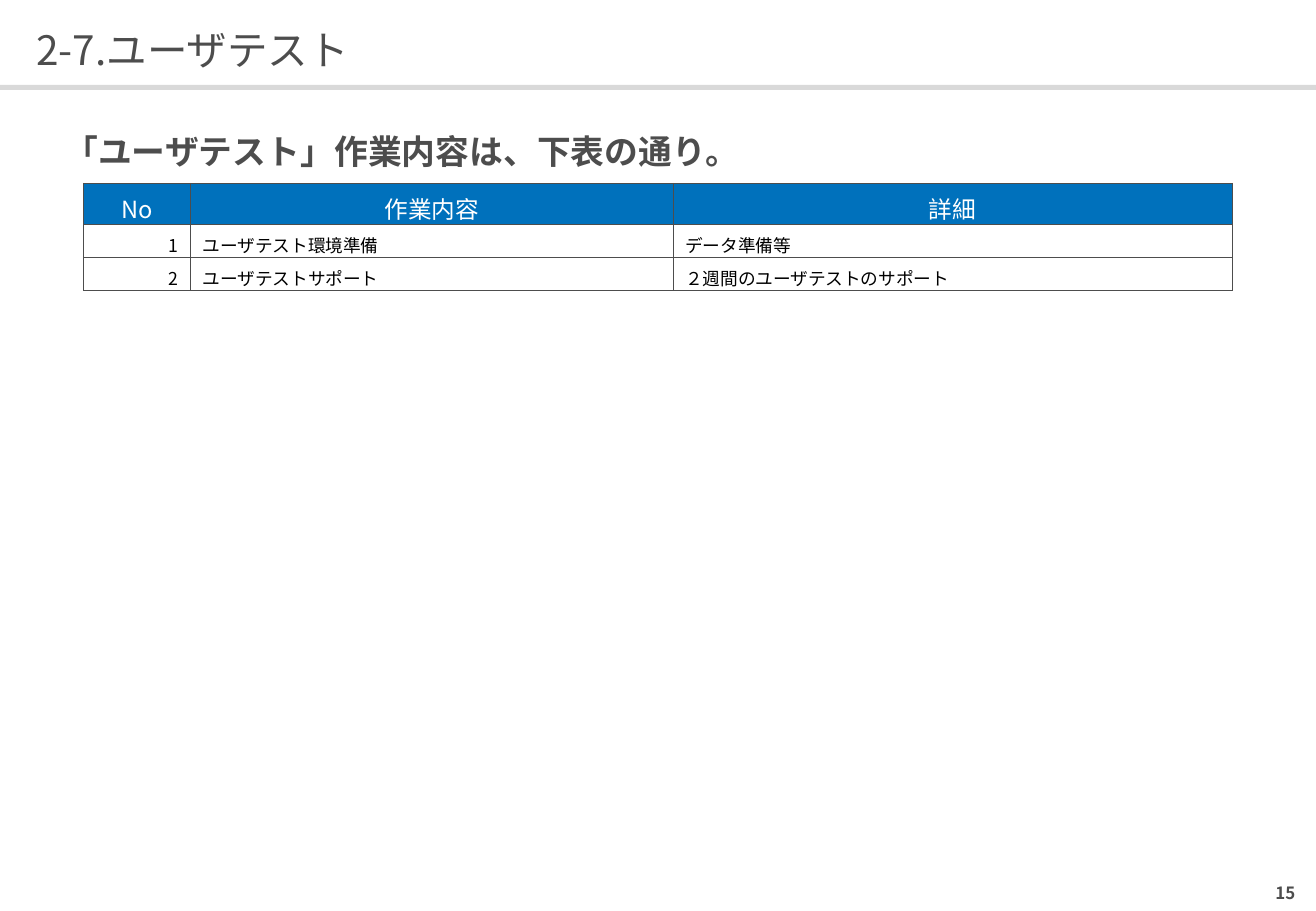
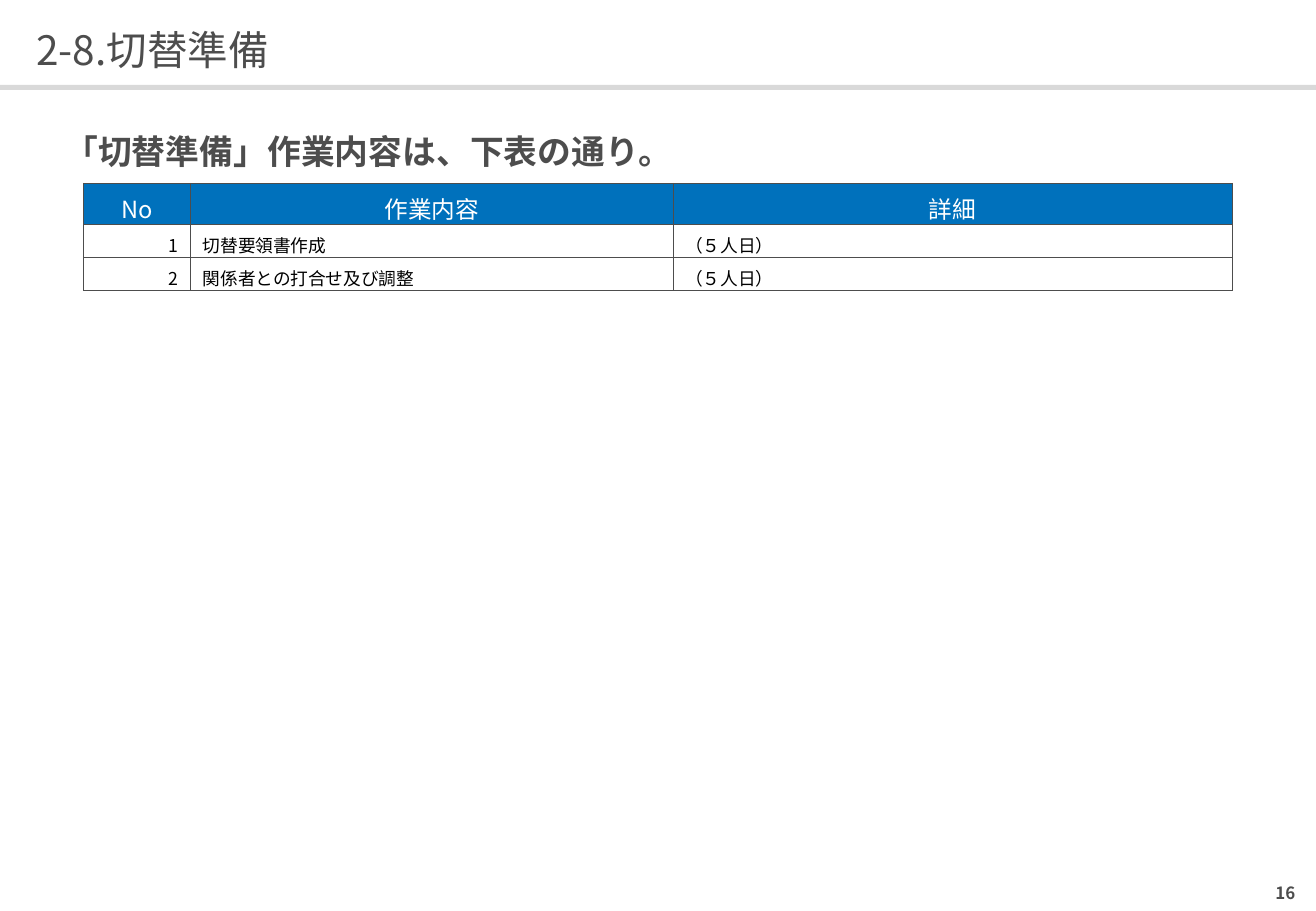
import dataclasses
import typing

import lxml.etree
import pptx
import pptx.dml.color
import pptx.enum.shapes
import pptx.enum.text
import pptx.oxml.ns
import pptx.util

Inches = pptx.util.Inches
Pt = pptx.util.Pt
Align = pptx.enum.text.PP_ALIGN
Anchor = pptx.enum.text.MSO_ANCHOR
qn = pptx.oxml.ns.qn

FONT = "Noto Sans CJK JP"
COLORS = {
    "ink": "4D4D4D",
    "rule": "D9D9D9",
    "head": "0071BC",
    "white": "FFFFFF",
    "black": "000000",
}
WIDTH, HEIGHT = 10.83, 7.5
HEADS = ("No", "作業内容", "詳細")
COLS = (0.88, 3.97, 4.6)
ROWS = (0.34, 0.27, 0.27)


@dataclasses.dataclass(frozen=True)
class Style:
    size: float
    color: str = "ink"
    bold: bool = False
    para: dict = dataclasses.field(default_factory=dict)


@dataclasses.dataclass(frozen=True)
class Page:
    number: int
    code: str
    topic: str
    tasks: tuple[tuple[str, str], ...]


TITLE = Style(24, para={"line_spacing": 1.1})
LEAD = Style(20, bold=True, para={
    "alignment": Align.JUSTIFY, "line_spacing": Pt(30), "space_after": Pt(12)})
FOOT = Style(10, bold=True, para={"alignment": Align.RIGHT})
HEAD = Style(14, "white", para={"alignment": Align.CENTER})
BODY = Style(10.5, "black", para={"alignment": Align.LEFT})
COUNT = Style(10.5, "black", para={"alignment": Align.RIGHT})

PAGES = (
    Page(15, "2-7.", "ユーザテスト", (
        ("ユーザテスト環境準備", "データ準備等"),
        ("ユーザテストサポート", "２週間のユーザテストのサポート"),
    )),
    Page(16, "2-8.", "切替準備", (
        ("切替要領書作成", "（５人日）"),
        ("関係者との打合せ及び調整", "（５人日）"),
    )),
)


def assign(item: typing.Any, values: dict) -> None:
    for name, value in values.items():
        setattr(item, name, value)


def rgb(name: str) -> pptx.dml.color.RGBColor:
    return pptx.dml.color.RGBColor.from_string(COLORS[name])


def write(frame: typing.Any, text: str, style: Style) -> None:
    """Fill a text frame with one styled paragraph."""
    para = frame.paragraphs[0]
    assign(para, style.para)
    run = para.add_run()
    run.text = text
    assign(run.font, {"size": Pt(style.size), "bold": style.bold, "name": FONT})
    run.font.color.rgb = rgb(style.color)
    props = run.font._element
    lxml.etree.SubElement(props, qn("a:ea"), typeface=FONT)


def label(slide: typing.Any, box: tuple, text: str, style: Style,
          anchor: Anchor = Anchor.MIDDLE) -> None:
    frame = slide.shapes.add_textbox(*map(Inches, box)).text_frame
    assign(frame, {
        "word_wrap": True, "vertical_anchor": anchor, "margin_left": 0,
        "margin_right": 0, "margin_top": 0, "margin_bottom": 0})
    write(frame, text, style)


def border(cell: typing.Any) -> None:
    """Outline a cell; must come before its fill is set."""
    props = cell._tc.get_or_add_tcPr()
    for side in ("lnL", "lnR", "lnT", "lnB"):
        line = lxml.etree.SubElement(props, qn(f"a:{side}"), w=str(Pt(0.75)))
        fill = lxml.etree.SubElement(line, qn("a:solidFill"))
        lxml.etree.SubElement(fill, qn("a:srgbClr"), val=COLORS["ink"])


def grid(slide: typing.Any, tasks: tuple[tuple[str, str], ...]) -> None:
    """Draw the numbered task table."""
    box = (0.69, 1.51, sum(COLS), sum(ROWS))
    table = slide.shapes.add_table(
        len(ROWS), len(COLS), *map(Inches, box)).table
    table.horz_banding = False
    for col, width in zip(table.columns, COLS):
        col.width = Inches(width)
    for row, height in zip(table.rows, ROWS):
        row.height = Inches(height)
    lines = [HEADS, *((str(n), *task) for n, task in enumerate(tasks, 1))]
    for r, line in enumerate(lines):
        for c, text in enumerate(line):
            cell = table.cell(r, c)
            assign(cell, {"vertical_anchor": Anchor.MIDDLE,
                          "margin_top": Inches(0.06), "margin_bottom": 0})
            border(cell)
            cell.fill.solid()
            cell.fill.fore_color.rgb = rgb("white" if r else "head")
            style = HEAD if r == 0 else COUNT if c == 0 else BODY
            write(cell.text_frame, text, style)


def frame(slide: typing.Any, page: Page) -> None:
    """Draw the rule, page number and title shared by all slides."""
    rule = slide.shapes.add_shape(
        pptx.enum.shapes.MSO_SHAPE.RECTANGLE,
        *map(Inches, (0, 0.7, WIDTH, 0.04)))
    rule.shadow.inherit = False
    rule.fill.solid()
    rule.fill.fore_color.rgb = rgb("rule")
    rule.line.fill.background()
    label(slide, (8.13, 7.21, 2.53, 0.28), str(page.number), FOOT)
    label(slide, (0.3, 0.17, 10.24, 0.43), page.code + page.topic, TITLE)


def main() -> None:
    deck = pptx.Presentation()
    assign(deck, {"slide_width": Inches(WIDTH), "slide_height": Inches(HEIGHT)})
    for page in PAGES:
        slide = deck.slides.add_slide(deck.slide_layouts[6])
        frame(slide, page)
        label(slide, (0.53, 0.99, 9.61, 0.4),
              f"「{page.topic}」作業内容は、下表の通り。", LEAD, Anchor.TOP)
        grid(slide, page.tasks)
    deck.save("out.pptx")


if __name__ == "__main__":
    main()
